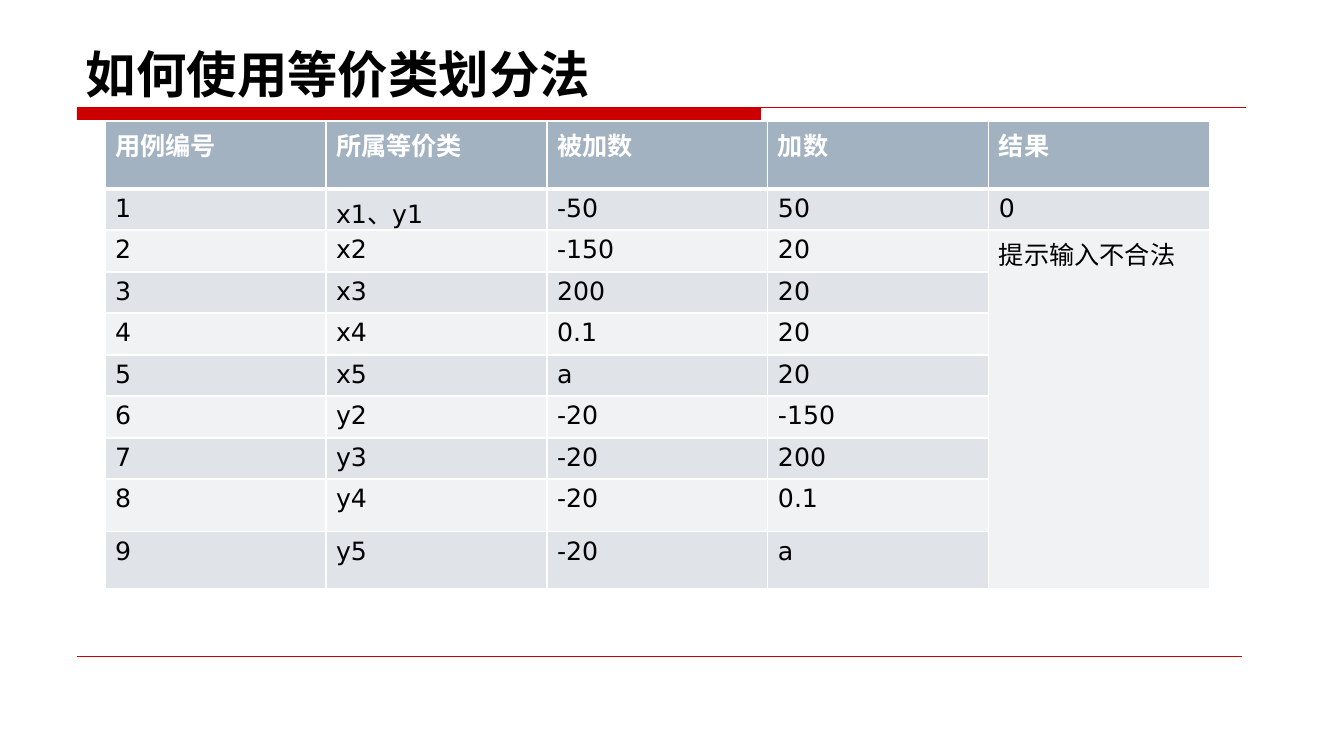
from lxml.etree import SubElement
from pptx import Presentation
from pptx.dml.color import RGBColor
from pptx.enum.shapes import MSO_CONNECTOR, MSO_SHAPE
from pptx.enum.text import MSO_ANCHOR
from pptx.oxml.ns import qn
from pptx.util import Pt

PX = 914400 / 100.8
COLORS = {"red": "CC0000", "black": "000000", "white": "FFFFFF",
          "header": "A3B2C1", "odd": "E0E4E9", "even": "F0F2F4"}
LATIN, CJK = "DejaVu Sans", "Noto Sans CJK SC"


def px(*lengths):
    return [round(length * PX) for length in lengths]


def style_text(frame, size, color, bold, latin):
    for run in frame.paragraphs[0].runs:
        run.font.size, run.font.bold, run.font.name = Pt(size), bold, latin
        run.font.color.rgb = RGBColor.from_string(COLORS[color])
        SubElement(run.font._element, qn("a:ea"), typeface=CJK)


prs = Presentation()
prs.slide_width, prs.slide_height = px(1344, 756)
slide = prs.slides.add_slide(prs.slide_layouts[6])

# Red bar under the title
title_bar = slide.shapes.add_shape(MSO_SHAPE.RECTANGLE, *px(77, 108, 684, 12))
title_bar.shadow.inherit = False
title_bar.fill.solid()
title_bar.fill.fore_color.rgb = RGBColor.from_string(COLORS["red"])
title_bar.line.fill.background()

# Thin rules: title and footer
for left, right, y, width in [(77, 1246, 108, 0.75), (77, 1242, 656, 0.25)]:
    rule = slide.shapes.add_connector(MSO_CONNECTOR.STRAIGHT, *px(left, y, right, y))
    rule.line.color.rgb = RGBColor.from_string(COLORS["red"])
    rule.line.width = Pt(width)
    SubElement(rule._element.spPr, qn("a:effectLst"))

# Title
title = slide.shapes.add_textbox(*px(76, 29, 1176, 80)).text_frame
title.word_wrap = True
title.vertical_anchor = MSO_ANCHOR.BOTTOM
title.text = "如何使用等价类划分法"
style_text(title, 36, "black", True, CJK)

# Test case table
cases = [
    ("用例编号", "所属等价类", "被加数", "加数", "结果"),
    ("1", "x1、y1", "-50", "50", "0"),
    ("2", "x2", "-150", "20", "提示输入不合法"),
    ("3", "x3", "200", "20", ""),
    ("4", "x4", "0.1", "20", ""),
    ("5", "x5", "a", "20", ""),
    ("6", "y2", "-20", "-150", ""),
    ("7", "y3", "-20", "200", ""),
    ("8", "y4", "-20", "0.1", ""),
    ("9", "y5", "-20", "a", ""),
]
row_heights = px(68, 41, 42, 41, 42, 41, 42, 41, 53, 57)
case_table = slide.shapes.add_table(
    len(cases), len(cases[0]), *px(105, 121, 1105, 468)).table
for column in case_table.columns:
    column.width = px(221)[0]

for r, case in enumerate(cases):
    case_table.rows[r].height = row_heights[r]
    fill = "header" if r == 0 else "odd" if r % 2 else "even"
    for c, value in enumerate(case):
        cell = case_table.cell(r, c)
        cell.text = value
        style_text(cell.text_frame, 18, "black" if r else "white", r == 0, LATIN)
        # White borders, thicker between header and body
        props = cell._tc.get_or_add_tcPr()
        for side in "LRTB":
            thick = (r, side) in [(0, "B"), (1, "T")]
            border = SubElement(props, qn(f"a:ln{side}"), w=str(Pt(3 if thick else 1)))
            SubElement(SubElement(border, qn("a:solidFill")),
                       qn("a:srgbClr"), val=COLORS["white"])
        cell.fill.solid()
        cell.fill.fore_color.rgb = RGBColor.from_string(COLORS[fill])

# One shared result for all invalid inputs
case_table.cell(2, 4).merge(case_table.cell(9, 4))

prs.save("out.pptx")
